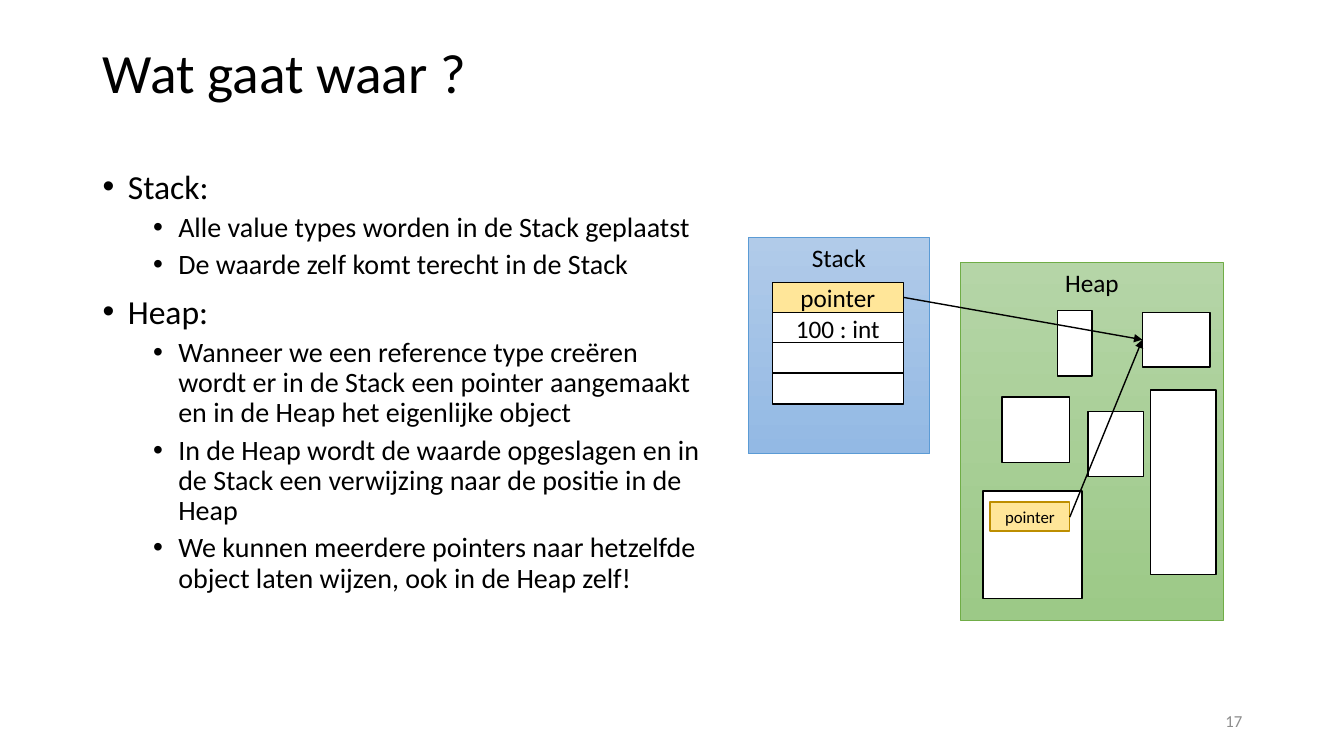
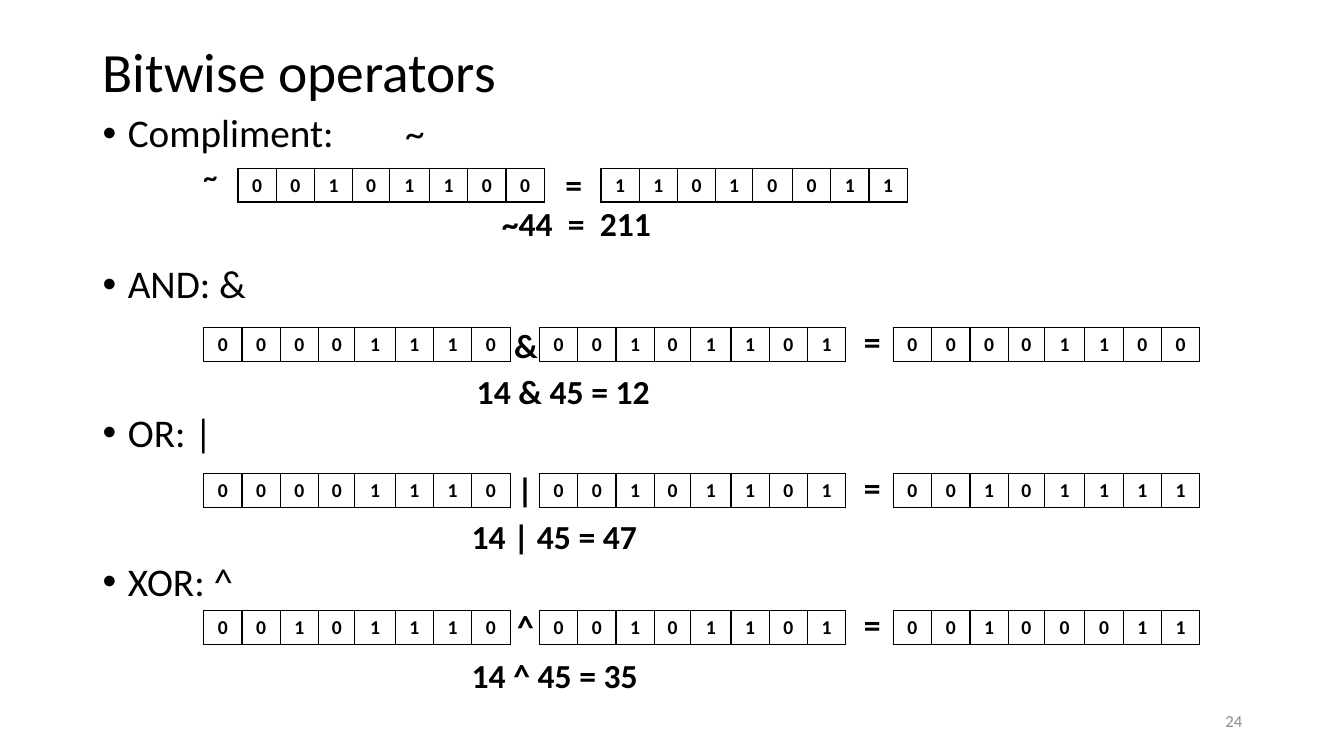
from lxml import etree
from pptx import Presentation
from pptx.dml.color import RGBColor
from pptx.enum.shapes import MSO_CONNECTOR, MSO_SHAPE
from pptx.enum.text import MSO_ANCHOR, PP_ALIGN
from pptx.oxml.ns import qn
from pptx.util import Inches, Pt

RECTANGLE = MSO_SHAPE.RECTANGLE
STRAIGHT = MSO_CONNECTOR.STRAIGHT
LEFT, CENTER, RIGHT = PP_ALIGN.LEFT, PP_ALIGN.CENTER, PP_ALIGN.RIGHT
TOP, MIDDLE = MSO_ANCHOR.TOP, MSO_ANCHOR.MIDDLE

FONT = "Calibri"
COLORS = {
    "text": "000000", "white": "FFFFFF", "number": "8C8C8C",
    "stack_top": "B1CBE9", "stack_bottom": "93B9E4", "stack_line": "5B9BD5",
    "heap_top": "B5D5A7", "heap_bottom": "9CC987", "heap_line": "70AD47",
    "pointer": "FFE699", "pointer_line": "BD8E00",
}
BIT_WIDTHS = (0.38, 0.38, 0.38, 0.36, 0.4, 0.38, 0.38, 0.38)


def color(name):
    return RGBColor.from_string(COLORS[name])


def lengths(values):
    return [Inches(value) for value in values]


class SlideBuilder:
    """Holds the shared style and the current slide."""

    def __init__(self):
        self.deck = Presentation()
        self.deck.slide_width = Inches(13.33)
        self.deck.slide_height = Inches(7.5)
        self.page = None

    def new_page(self, title, title_height, number):
        layout = self.deck.slide_layouts.get_by_name("Title Only")
        self.page = self.deck.slides.add_slide(layout)
        box = self.page.shapes.title
        box.left, box.top, box.width, box.height = lengths(
            (0.92, 0.4, 11.5, title_height))
        frame = box.text_frame
        frame.text = title
        frame.word_wrap = True
        frame.vertical_anchor = MIDDLE
        frame.paragraphs[0].line_spacing = 0.9
        self.style(frame.paragraphs[0], 39.6)
        self.label((9.42, 6.95, 3, 0.4), number, 12, False, "number", RIGHT, MIDDLE)

    def style(self, para, size, bold=False, ink="text", align=LEFT):
        para.alignment = align
        for span in para.runs:
            span.font.name = FONT
            span.font.size = Pt(size)
            span.font.bold = bold
            span.font.color.rgb = color(ink)

    def label(self, at, text, size=24, bold=True, ink="text", align=LEFT, anchor=TOP):
        frame = self.page.shapes.add_textbox(*lengths(at)).text_frame
        frame.word_wrap = True
        frame.vertical_anchor = anchor
        frame.text = text
        self.style(frame.paragraphs[0], size, bold, ink, align)

    def outline(self, at, items):
        """Each item: text, size, space before, indent, bulleted, bold."""
        frame = self.page.shapes.add_textbox(*lengths(at)).text_frame
        frame.word_wrap = True
        for index, (text, size, before, indent, bulleted, bold) in enumerate(items):
            para = frame.add_paragraph() if index else frame.paragraphs[0]
            para.text = text
            para.line_spacing = 0.9
            para.space_before = Pt(before)
            self.style(para, size, bold)
            props = para._p.get_or_add_pPr()
            props.set("marL", str(Inches(indent)))
            props.set("indent", str(Inches(-0.25 if bulleted else 0)))
            if bulleted:
                etree.SubElement(props, qn("a:buFont"), typeface="Arial")
                etree.SubElement(props, qn("a:buChar"), char="•")
            if "\t" in text:
                tabs = etree.SubElement(props, qn("a:tabLst"))
                etree.SubElement(tabs, qn("a:tab"), pos=str(Inches(3)), algn="l")

    def rectangle(self, at, text="", fill="white", line="text", weight=1,
                  size=18, anchor=MIDDLE):
        box = self.page.shapes.add_shape(RECTANGLE, *lengths(at))
        box.shadow.inherit = False
        box.fill.solid()
        box.fill.fore_color.rgb = color(fill)
        box.line.color.rgb = color(line)
        box.line.width = Pt(weight)
        if text:
            frame = box.text_frame
            frame.text = text
            frame.vertical_anchor = anchor
            self.style(frame.paragraphs[0], size, align=CENTER)
        return box

    def memory_area(self, at, text, name):
        box = self.rectangle(at, text, line=name + "_line", weight=0.5, anchor=TOP)
        box.fill.gradient()
        box.fill.gradient_angle = 270
        for stop, end in zip(box.fill.gradient_stops, ("_top", "_bottom")):
            stop.color.rgb = color(name + end)

    def arrow(self, start, end):
        line = self.page.shapes.add_connector(STRAIGHT, *lengths(start + end))
        line.line.color.rgb = color("text")
        line.line.width = Pt(1)
        etree.SubElement(line.line._get_or_add_ln(), qn("a:tailEnd"), type="triangle")
        etree.SubElement(line._element.spPr, qn("a:effectLst"))

    def byte(self, left, top, value):
        """One-row table with the eight bits of a number."""
        frame = self.page.shapes.add_table(
            1, 8, *lengths((left, top, sum(BIT_WIDTHS), 0.33)))
        table = frame.table
        table.first_row = table.horz_banding = False
        for column, width in zip(table.columns, BIT_WIDTHS):
            column.width = Inches(width)
        for cell, bit in zip(table.rows[0].cells, format(value, "08b")):
            cell.text = bit
            self.style(cell.text_frame.paragraphs[0], 14, True, align=CENTER)
            self.borders(cell)
            cell.fill.solid()
            cell.fill.fore_color.rgb = color("white")

    def borders(self, cell):
        props = cell._tc.get_or_add_tcPr()
        for side in ("a:lnL", "a:lnR", "a:lnT", "a:lnB"):
            line = etree.SubElement(props, qn(side), w=str(Pt(1)))
            fill = etree.SubElement(line, qn("a:solidFill"))
            etree.SubElement(fill, qn("a:srgbClr"), val=COLORS["text"])


def memory_page(builder):
    builder.new_page("Wat gaat waar ?", 0.7, "17")
    topics = {
        "Stack:": (
            "Alle value types worden in de Stack geplaatst",
            "De waarde zelf komt terecht in de Stack",
        ),
        "Heap:": (
            "Wanneer we een reference type creëren wordt er in de Stack een "
            "pointer aangemaakt en in de Heap het eigenlijke object",
            "In de Heap wordt de waarde opgeslagen en in de Stack een "
            "verwijzing naar de positie in de Heap",
            "We kunnen meerdere pointers naar hetzelfde object laten wijzen, "
            "ook in de Heap zelf!",
        ),
    }
    items = []
    for topic, details in topics.items():
        items.append((topic, 24, 10, 0.25, True, False))
        items += [(detail, 20, 5, 0.75, True, False) for detail in details]
    builder.outline((0.92, 1.64, 6.16, 5.11), items)

    # Stack with four slots
    builder.memory_area((7.42, 2.35, 1.8, 2.15), "Stack", "stack")
    for row, text in enumerate(("pointer", "100 : int", "", "")):
        fill = "white" if row else "pointer"
        builder.rectangle((7.66, 2.8 + 0.3 * row, 1.3, 0.31), text, fill)

    # Heap with objects
    builder.memory_area((9.53, 2.6, 2.6, 3.55), "Heap", "heap")
    for heap_object in (
        (9.75, 4.87, 0.98, 1.07), (10.49, 3.08, 0.34, 0.65),
        (11.33, 3.1, 0.67, 0.54), (11.41, 3.87, 0.65, 1.83),
        (9.94, 3.94, 0.67, 0.65), (10.79, 4.08, 0.55, 0.65),
    ):
        builder.rectangle(heap_object)
    builder.rectangle((9.82, 4.98, 0.79, 0.29), "pointer", "pointer",
                      "pointer_line", size=12, anchor=TOP)

    # Both pointers refer to the same object
    for start in ((10.61, 5.13), (8.96, 2.95)):
        builder.arrow(start, (11.33, 3.37))


def bitwise_page(builder):
    builder.new_page("Bitwise operators", 0.68, "24")
    builder.outline((0.92, 1.08, 11.13, 5.84), (
        ("Compliment: \t~", 28, 10, 0.25, True, False),
        ("~", 20, 5, 1, False, True),
        ("AND: &", 28, 51, 0.25, True, False),
        ("OR: |", 28, 76, 0.25, True, False),
        ("XOR: ^", 28, 76, 0.25, True, False),
    ))

    # Complement
    builder.byte(2.36, 1.67, 44)
    builder.byte(5.96, 1.67, 211)
    builder.label((5.51, 1.58, 0.35, 0.51), "=")
    builder.label((4.88, 1.96, 1.97, 0.51), "~44  =  211")

    # Operators on two bytes: top, symbol and its place, bytes, sum and its place
    for top, symbol, symbol_at, numbers, formula, formula_at in (
        (3.25, "&", (5, 3.17), (14, 45, 12), "14 & 45 = 12", (4.63, 3.63)),
        (4.7, "|", (5.03, 4.6), (14, 45, 47), "14 | 45 = 47", (4.58, 5.07)),
        (6.06, "^", (5.03, 5.96), (46, 45, 35), "14 ^ 45 = 35", (4.58, 6.45)),
    ):
        for left, number in zip((2.02, 5.35, 8.86), numbers):
            builder.byte(left, top, number)
        builder.label(symbol_at + (0.35, 0.51), symbol)
        builder.label((8.47, top - 0.12, 0.35, 0.51), "=")
        builder.label(formula_at + (2.21, 0.5), formula)


builder = SlideBuilder()
memory_page(builder)
bitwise_page(builder)
builder.deck.save("out.pptx")
